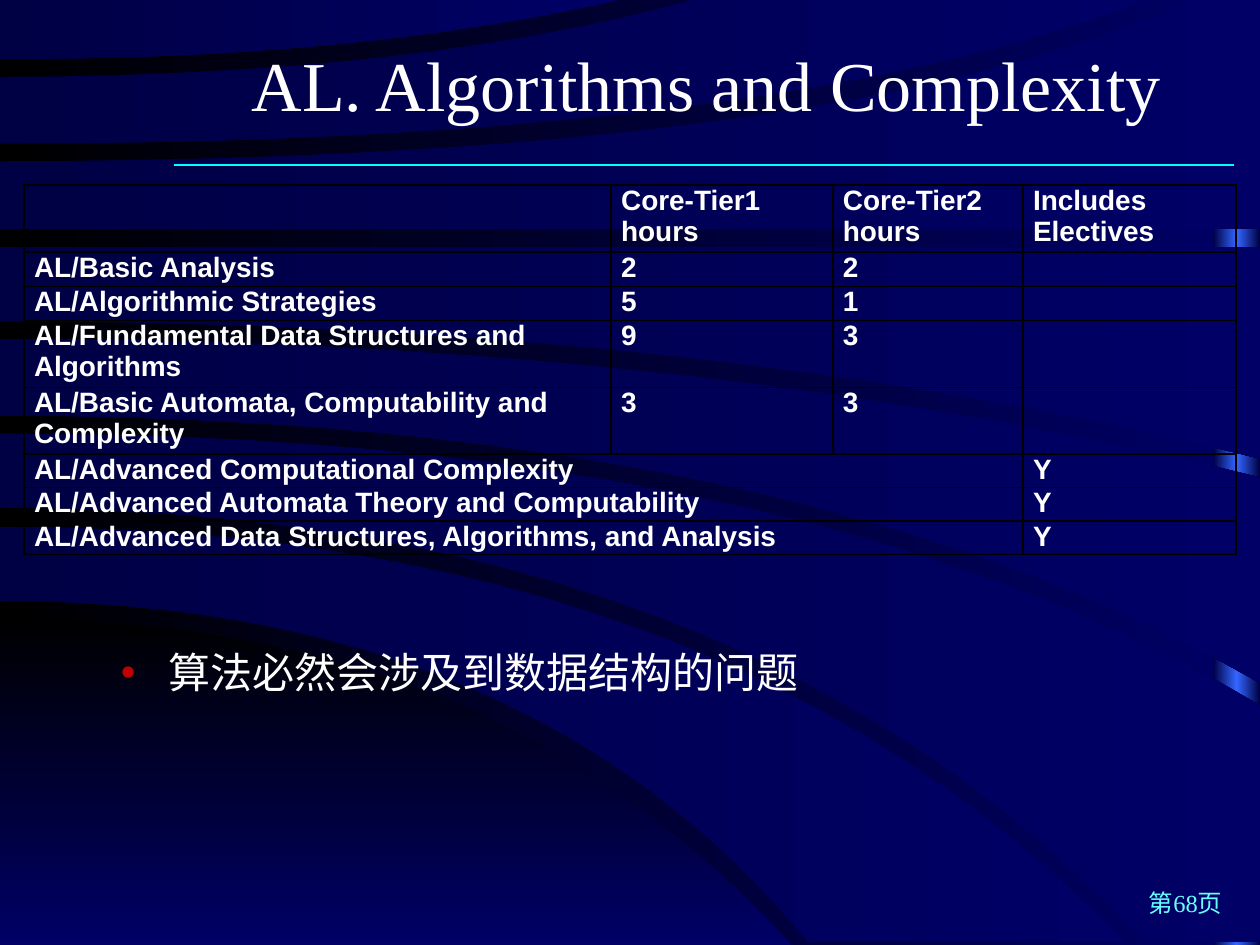
from lxml.etree import SubElement
from pptx import Presentation
from pptx.dml.color import RGBColor
from pptx.enum.shapes import MSO_CONNECTOR as Connector, MSO_SHAPE as Shape
from pptx.enum.text import MSO_ANCHOR as Anchor, PP_ALIGN as Align
from pptx.oxml.ns import qn
from pptx.util import Inches, Pt

WHITE, BLACK, NIGHT, NAVY = "FFFFFF", "000000", "000044", "000066"
SERIF, SANS, CHINESE = "Times New Roman", "Arial", "Noto Sans CJK SC"

# An edge leaves the left side level: (start y, bend x, end x, end y).
HILL = [(4.91, 3.95, 6.28, 7.5), (7.5, 3, 6.28, 7.5)]
# Upper edge, lower edge and any extra corner at the right end of each band.
BANDS = [
    [(4.18, 5.75, 8.93, 7.48), (4.77, 4.2, 6.42, 7.48)],
    [(3.44, 6.4, 10, 5.6), (4.03, 5.9, 9.09, 7.48), (10, 7.48)],
    [(2.69, 5.55, 10, 3.79), (3.3, 6.3, 10, 5.42)],
    [(1.96, 5, 10, 1.96), (2.55, 5.65, 10, 3.64)],
    [(1.28, 6.7, 9.43, 0), (1.82, 5, 10, 1.82), (10, 0)],
    [(0.61, 3.3, 5.5, 0), (1.14, 6.15, 9.1, 0)],
    [(0, 2.5, 4.9, 0), (0.47, 2.85, 4.9, 0)],
]
CURVE_STEPS = 24

COLUMN_WIDTHS = [4.66, 1.76, 1.51, 1.69]
LINE_HEIGHT = 0.265
COURSE_ROWS = [
    (2, ["", "Core-Tier1\nhours", "Core-Tier2\nhours", "Includes\nElectives"]),
    (1, ["AL/Basic Analysis", "2", "2", ""]),
    (1, ["AL/Algorithmic Strategies", "5", "1", ""]),
    (2, ["AL/Fundamental Data Structures and Algorithms", "9", "3", ""]),
    (2, ["AL/Basic Automata, Computability and Complexity", "3", "3", ""]),
    (1, ["AL/Advanced Computational Complexity", None, None, "Y"]),
    (1, ["AL/Advanced Automata Theory and Computability", None, None, "Y"]),
    (1, ["AL/Advanced Data Structures, Algorithms, and Analysis", None, None, "Y"]),
]


def rgb(colour):
    return RGBColor.from_string(colour)


def place(shape, left, top, width, height):
    shape.left, shape.top = Inches(left), Inches(top)
    shape.width, shape.height = Inches(width), Inches(height)


def paint_gradient(fill, owner, colours, angle=0):
    """Fill with evenly spaced colours; angle turns counter-clockwise."""
    fill.gradient()
    fill.gradient_angle = angle
    stops = owner.find(".//" + qn("a:gsLst"))
    for stop in list(stops):
        stops.remove(stop)
    for index, colour in enumerate(colours):
        position = 100000 * index // (len(colours) - 1)
        stop = SubElement(stops, qn("a:gs"), pos=str(position))
        SubElement(stop, qn("a:srgbClr"), val=colour)


def finish_decoration(shape, colours, angle=0):
    shape.shadow.inherit = False
    shape.line.fill.background()
    paint_gradient(shape.fill, shape.element, colours, angle)


def trace_edge(start_y, bend_x, end_x, end_y):
    """Return points along a quadratic curve that starts level at the left side."""
    points = []
    for step in range(CURVE_STEPS + 1):
        t = step / CURVE_STEPS
        x = 2 * t * (1 - t) * bend_x + t * t * end_x
        points.append((Inches(x), Inches(start_y + t * t * (end_y - start_y))))
    return points


def add_band(slide, upper, lower, *corners, colours=(NIGHT, NAVY), angle=0):
    outline = trace_edge(*lower)
    outline += [(Inches(x), Inches(y)) for x, y in corners]
    outline += reversed(trace_edge(*upper))
    builder = slide.shapes.build_freeform(*outline[0], scale=1.0)
    builder.add_line_segments(outline[1:], close=True)
    finish_decoration(builder.convert_to_shape(), colours, angle)


def add_rule(slide, left, right, y, colour):
    rule = slide.shapes.add_connector(
        Connector.STRAIGHT, Inches(left), Inches(y), Inches(right), Inches(y))
    rule.line.color.rgb = rgb(colour)
    rule.line.width = Pt(0.75)
    SubElement(rule.element.spPr, qn("a:effectLst"))


def write_text(frame, text, size, font=SERIF, colour=WHITE, bold=False, align=None):
    """Write one paragraph for each line of text."""
    frame.word_wrap = True
    for index, line in enumerate(text.split("\n")):
        paragraph = frame.add_paragraph() if index else frame.paragraphs[0]
        paragraph.alignment = align
        if not line:
            paragraph._p.get_or_add_endParaRPr().set("sz", str(size * 100))
            continue
        run = paragraph.add_run()
        run.text = line
        run.font.size, run.font.bold, run.font.name = Pt(size), bold, font
        run.font.color.rgb = rgb(colour)
        SubElement(run.font._element, qn("a:ea"), typeface=CHINESE)


def format_cell(cell):
    cell.margin_left = cell.margin_right = Inches(0.08)
    cell.margin_top = cell.margin_bottom = 0
    properties = cell._tc.get_or_add_tcPr()
    for side in ("a:lnL", "a:lnR", "a:lnT", "a:lnB"):
        border = SubElement(properties, qn(side), w=str(Pt(1)))
        SubElement(SubElement(border, qn("a:solidFill")), qn("a:srgbClr"), val=BLACK)
    cell.fill.background()


def add_course_table(slide):
    height = LINE_HEIGHT * sum(lines for lines, _ in COURSE_ROWS)
    table = slide.shapes.add_table(
        len(COURSE_ROWS), len(COLUMN_WIDTHS), Inches(0.19), Inches(1.47),
        Inches(sum(COLUMN_WIDTHS)), Inches(height)).table
    table.first_row = table.horz_banding = False
    for column, width in zip(table.columns, COLUMN_WIDTHS):
        column.width = Inches(width)
    for r, (lines, entries) in enumerate(COURSE_ROWS):
        table.rows[r].height = Inches(LINE_HEIGHT * lines)
        for c, entry in enumerate(entries):
            format_cell(table.cell(r, c))
            if entry is not None:
                write_text(table.cell(r, c).text_frame, entry, 16, font=SANS, bold=True)
        if None in entries:
            table.cell(r, 0).merge(table.cell(r, 2))


def fill_placeholders(slide):
    title, body = slide.placeholders
    for placeholder in (title, body):
        slide.shapes._spTree.append(placeholder.element)  # in front of the bands
    place(title, 1.39, 0.19, 8.43, 0.94)
    title.text_frame.vertical_anchor = Anchor.MIDDLE
    write_text(title.text_frame, "AL. Algorithms and Complexity", 40, align=Align.CENTER)

    place(body, 0.86, 5.08, 8.67, 1.72)
    write_text(body.text_frame, "算法必然会涉及到数据结构的问题", 24, font=CHINESE)
    bullet = body.text_frame.paragraphs[0]._p.get_or_add_pPr()
    SubElement(SubElement(bullet, qn("a:buClr")), qn("a:srgbClr"), val="C00000")
    SubElement(bullet, qn("a:buChar"), char="•")


def main():
    deck = Presentation()
    deck.slide_width, deck.slide_height = Inches(10), Inches(7.5)
    slide = deck.slides.add_slide(deck.slide_layouts[1])
    paint_gradient(slide.background.fill, slide.element, [BLACK, NAVY])

    glow = slide.shapes.add_shape(
        Shape.RECTANGLE, Inches(9.63), 0, Inches(0.37), Inches(7.5))
    finish_decoration(glow, [NIGHT, "3366FF", NIGHT])
    add_band(slide, *HILL, colours=(BLACK, NAVY), angle=270)
    for band in BANDS:
        add_band(slide, *band)
    add_rule(slide, 1.38, 9.79, 1.31, "00FFFF")

    add_course_table(slide)
    fill_placeholders(slide)
    page = slide.shapes.add_textbox(Inches(7.72), Inches(7), Inches(2.08), Inches(0.36))
    write_text(page.text_frame, "第68页", 14, colour="66FFFF", align=Align.RIGHT)
    deck.save("out.pptx")


if __name__ == "__main__":
    main()
